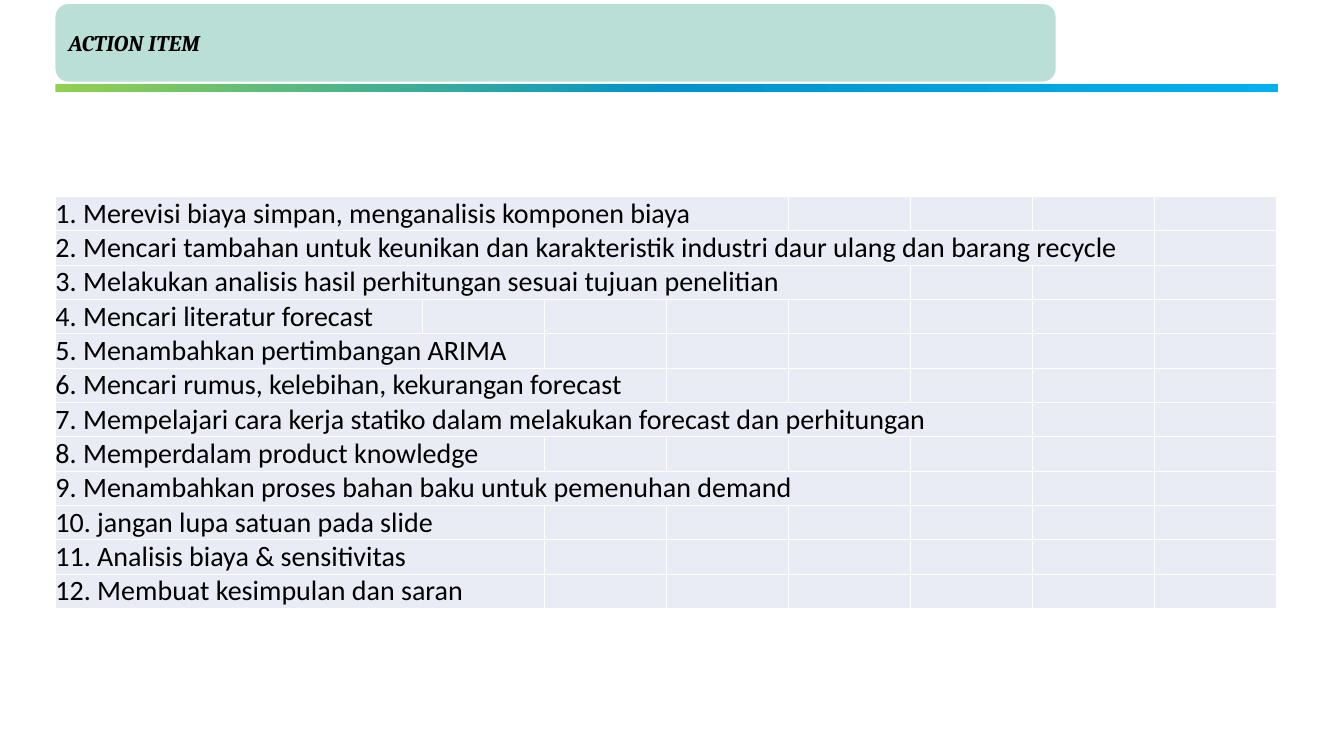
from copy import deepcopy

from lxml import etree
from pptx import Presentation
from pptx import util as u
from pptx.dml.color import RGBColor
from pptx.enum import shapes, text
from pptx.oxml import ns

TITLE = "ACTION ITEM"
# (action, number of columns its cell spans)
ACTIONS = [
    ("Merevisi biaya simpan, menganalisis komponen biaya", 4),
    ("Mencari tambahan untuk keunikan dan karakteristik industri daur ulang dan barang recycle", 7),
    ("Melakukan analisis hasil perhitungan sesuai tujuan penelitian", 5),
    ("Mencari literatur forecast", 1),
    ("Menambahkan pertimbangan ARIMA", 2),
    ("Mencari rumus, kelebihan, kekurangan forecast", 3),
    ("Mempelajari cara kerja statiko dalam melakukan forecast dan perhitungan", 6),
    ("Memperdalam product knowledge", 2),
    ("Menambahkan proses bahan baku untuk pemenuhan demand", 5),
    ("jangan lupa satuan pada slide", 2),
    ("Analisis biaya & sensitivitas", 2),
    ("Membuat kesimpulan dan saran", 2),
]

BLACK = RGBColor(0x00, 0x00, 0x00)
WHITE = RGBColor(0xFF, 0xFF, 0xFF)
MINT = RGBColor(0xBA, 0xDF, 0xD7)
CELL_FILL = RGBColor(0xE9, 0xEB, 0xF5)
RULE_STOPS = [
    (0, RGBColor(0x92, 0xD0, 0x50)),
    (0.5, RGBColor(0x00, 0x94, 0xCA)),
    (1, RGBColor(0x00, 0xB0, 0xF0)),
]

LEFT, WIDTH = 0.55, 12.13
TITLE_AREA = [u.Inches(n) for n in (LEFT, 0.04, 9.92, 0.77)]
RULE_AREA = [u.Inches(n) for n in (LEFT, 0.83, WIDTH, 0.08)]
TABLE_TOP, ROW_HEIGHT = 1.95, 0.34
COLUMN_WIDTHS = [3.64] + [1.21] * 7


def write(frame, content, font="Calibri", size=20, bold=False, italic=False):
    paragraph = frame.paragraphs[0]
    paragraph.alignment = text.PP_ALIGN.LEFT
    run = paragraph.add_run()
    run.text = content
    run.font.name, run.font.size = font, u.Pt(size)
    run.font.bold, run.font.italic = bold, italic
    run.font.color.rgb = BLACK


def add_bar(slide, kind, area):
    bar = slide.shapes.add_shape(kind, *area)
    bar.shadow.inherit = False
    bar.line.fill.background()
    return bar


def add_title(slide):
    bar = add_bar(slide, shapes.MSO_SHAPE.ROUNDED_RECTANGLE, TITLE_AREA)
    bar.fill.solid()
    bar.fill.fore_color.rgb = MINT
    title = slide.shapes.title
    title.left, title.top, title.width, title.height = TITLE_AREA
    bar._element.addnext(title._element)  # the title lies in front of its bar
    title.text_frame.vertical_anchor = text.MSO_ANCHOR.MIDDLE
    title.text_frame.margin_left = u.Inches(0.13)
    write(title.text_frame, TITLE, font="Cambria", size=16, bold=True, italic=True)


def add_gradient_rule(slide):
    rule = add_bar(slide, shapes.MSO_SHAPE.RECTANGLE, RULE_AREA)
    rule.fill.gradient()
    rule.fill.gradient_angle = 0
    stop_list = rule._element.spPr.find(".//" + ns.qn("a:gsLst"))
    stop_list.append(deepcopy(stop_list[0]))
    for stop, (position, color) in zip(rule.fill.gradient_stops, RULE_STOPS):
        stop.position = position
        stop.color.rgb = color


def format_cell(cell):
    cell.margin_left = cell.margin_right = cell.margin_top = cell.margin_bottom = 0
    cell.vertical_anchor = text.MSO_ANCHOR.BOTTOM
    properties = cell._tc.get_or_add_tcPr()
    for side in ("lnL", "lnR", "lnT", "lnB"):
        line = etree.SubElement(properties, ns.qn("a:" + side), w=str(u.Pt(1)))
        fill = etree.SubElement(line, ns.qn("a:solidFill"))
        etree.SubElement(fill, ns.qn("a:srgbClr"), val=str(WHITE))
    cell.fill.solid()
    cell.fill.fore_color.rgb = CELL_FILL


def add_action_table(slide):
    frame = slide.shapes.add_table(
        len(ACTIONS), len(COLUMN_WIDTHS), u.Inches(LEFT), u.Inches(TABLE_TOP),
        u.Inches(WIDTH), u.Inches(ROW_HEIGHT * len(ACTIONS)))
    table = frame.table
    table.first_row = table.horz_banding = False
    for column, width in zip(table.columns, COLUMN_WIDTHS):
        column.width = u.Inches(width)
    for cell in table.iter_cells():
        format_cell(cell)
    for index, (action, span) in enumerate(ACTIONS):
        table.rows[index].height = u.Inches(ROW_HEIGHT)
        cell = table.cell(index, 0)
        if span > 1:
            cell.merge(table.cell(index, span - 1))
        write(cell.text_frame, f"{index + 1}. {action}")


def main():
    presentation = Presentation()
    presentation.slide_width = u.Inches(13.33)
    presentation.slide_height = u.Inches(7.5)
    title_only = presentation.slide_layouts[5]
    slide = presentation.slides.add_slide(title_only)
    add_title(slide)
    add_gradient_rule(slide)
    add_action_table(slide)
    presentation.save("out.pptx")


if __name__ == "__main__":
    main()
